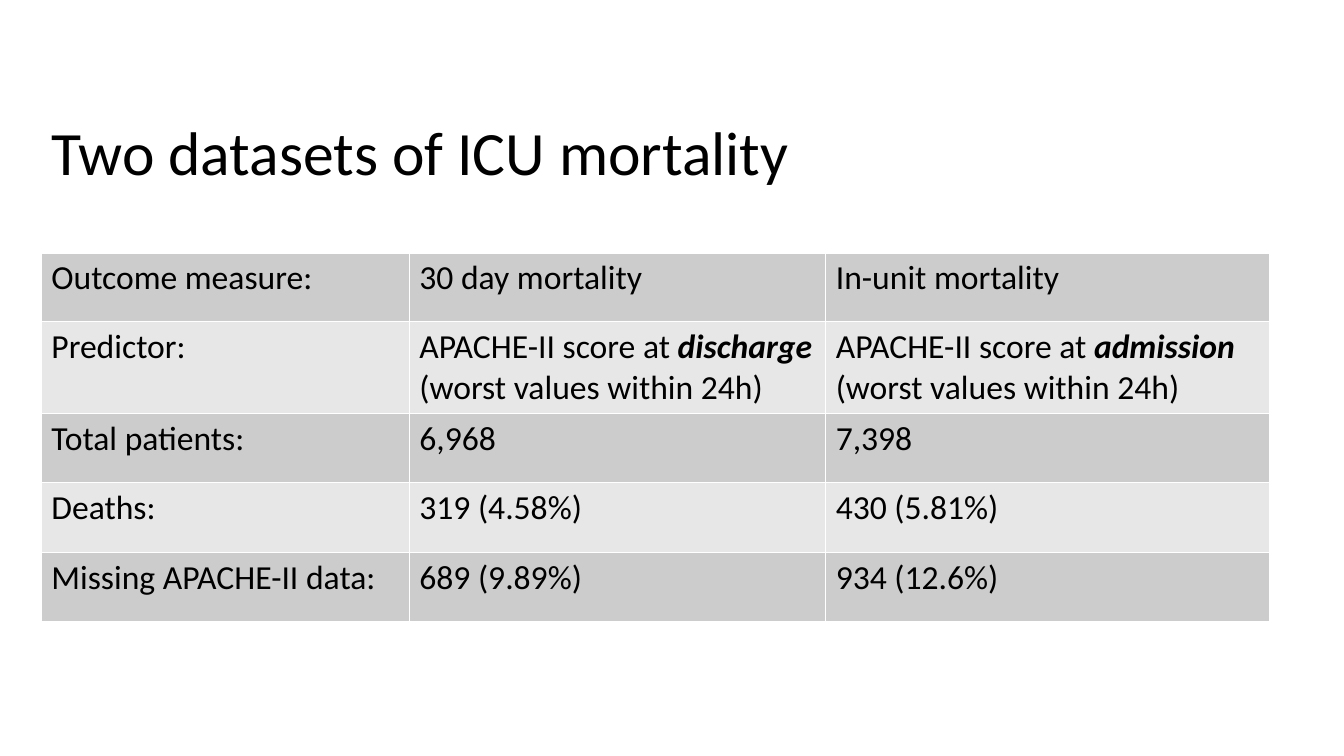
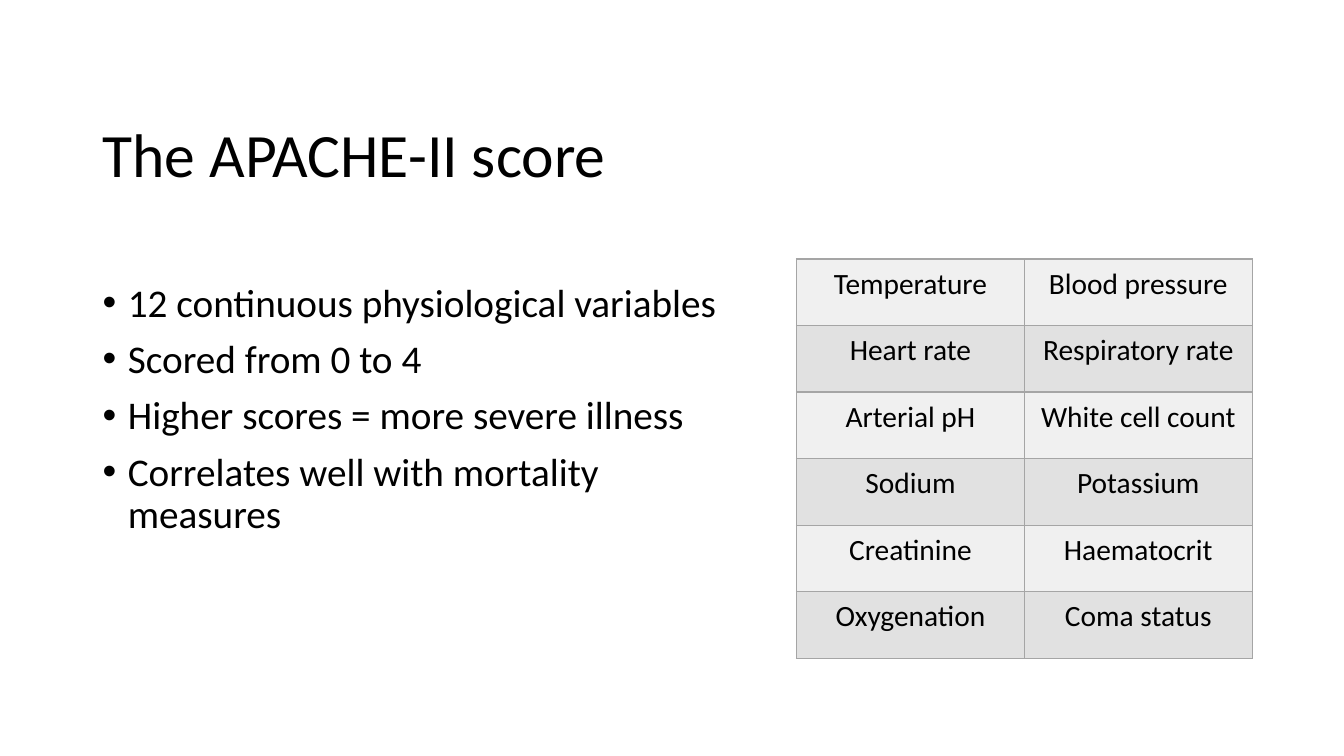
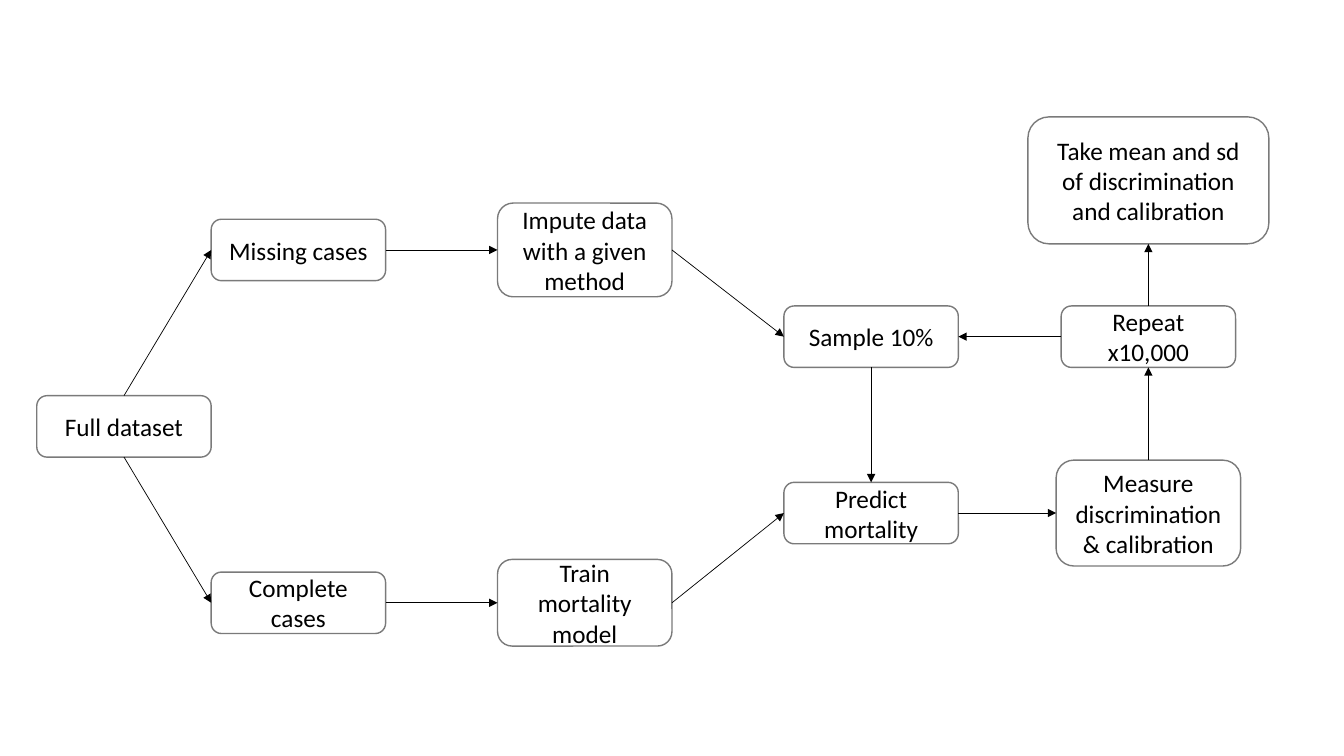
from lxml.etree import SubElement
from pptx import Presentation
from pptx.dml.color import RGBColor
from pptx.enum.shapes import MSO_CONNECTOR, MSO_SHAPE
from pptx.enum.text import MSO_ANCHOR, PP_ALIGN
from pptx.oxml import parse_xml
from pptx.oxml.ns import nsdecls, qn
from pptx.util import Inches, Pt

TOP, LEFT, BOTTOM, RIGHT = range(4)


def color(code):
    return RGBColor.from_string(code)


def apply(target, style):
    for name, value in style.items():
        setattr(target, name, value)


class Deck:
    INK = "000000"
    PAPER = "FFFFFF"
    EDGE = "7A7A7A"
    FONT = "Calibri"
    HEAD = {"line_spacing": 0.9}
    LIST = {"line_spacing": 0.9, "space_before": Pt(10)}
    MID = {"alignment": PP_ALIGN.CENTER}

    def __init__(self):
        self.prs = Presentation()
        self.prs.slide_width = Inches(13.33)
        self.prs.slide_height = Inches(7.5)
        self.slide = None

    def page(self):
        self.slide = self.prs.slides.add_slide(self.prs.slide_layouts[6])

    def label(self, para, text, size, style):
        """Fill a paragraph; text between asterisks is bold italic."""
        apply(para, style)
        for i, part in enumerate(text.split("*")):
            run = para.add_run()
            run.text = part
            strong = i % 2 == 1
            apply(run.font, {"name": self.FONT, "size": Pt(size),
                             "bold": strong, "italic": strong})
            run.font.color.rgb = color(self.INK)

    def frame(self, left, top, width, height, anchor):
        box = self.slide.shapes.add_textbox(*map(Inches, (left, top, width, height)))
        apply(box.text_frame, {"word_wrap": True, "vertical_anchor": anchor})
        return box.text_frame

    def title(self, text, left, top, width):
        frame = self.frame(left, top, width, 1.45, MSO_ANCHOR.MIDDLE)
        self.label(frame.paragraphs[0], text, 44, self.HEAD)

    def bullets(self, items, left, top, width, height):
        frame = self.frame(left, top, width, height, MSO_ANCHOR.TOP)
        for i, item in enumerate(items):
            para = frame.add_paragraph() if i else frame.paragraphs[0]
            self.label(para, item, 28, self.LIST)
            props = para._p.get_or_add_pPr()
            props.set("marL", str(Inches(0.25)))
            props.set("indent", str(Inches(-0.25)))
            SubElement(props, qn("a:buFont")).set("typeface", "Arial")
            SubElement(props, qn("a:buChar")).set("char", "•")

    def border(self, cell, code):
        props = cell._tc.get_or_add_tcPr()
        for side in "LRTB":
            props.append(parse_xml(
                f'<a:ln{side} {nsdecls("a")} w="{Pt(1)}"><a:solidFill>'
                f'<a:srgbClr val="{code}"/></a:solidFill></a:ln{side}>'))

    def table(self, data, left, top, cols, rows, size, fills, edge, style, pad):
        """Draw a grid whose row fills alternate."""
        grid = self.slide.shapes.add_table(
            len(rows), len(cols), Inches(left), Inches(top),
            Inches(sum(cols)), Inches(sum(rows))).table
        apply(grid, {"first_row": False, "horz_banding": False})
        for col, width in zip(grid.columns, cols):
            col.width = Inches(width)
        for r, (row, height) in enumerate(zip(grid.rows, rows)):
            row.height = Inches(height)
            for cell, text in zip(row.cells, data[r]):
                apply(cell, pad)
                self.border(cell, edge)
                cell.fill.solid()
                cell.fill.fore_color.rgb = color(fills[r % 2])
                self.label(cell.text_frame.paragraphs[0], text, size, style)

    def box(self, text, x, y, width=1.73, height=0.61):
        """Draw a rounded box centred on x, y."""
        shape = self.slide.shapes.add_shape(
            MSO_SHAPE.ROUNDED_RECTANGLE, Inches(x - width / 2),
            Inches(y - height / 2), Inches(width), Inches(height))
        shape.shadow.inherit = False
        shape.fill.solid()
        shape.fill.fore_color.rgb = color(self.PAPER)
        shape.line.color.rgb = color(self.EDGE)
        shape.line.width = Pt(1)
        frame = shape.text_frame
        apply(frame, {"word_wrap": True, "vertical_anchor": MSO_ANCHOR.MIDDLE})
        self.label(frame.paragraphs[0], text, 18, self.MID)
        return shape

    def arrow(self, start, out, end, into):
        line = self.slide.shapes.add_connector(MSO_CONNECTOR.STRAIGHT, 0, 0, 0, 0)
        line.begin_connect(start, out)
        line.end_connect(end, into)
        line.line.color.rgb = color(self.INK)
        line.line.width = Pt(0.5)
        props = line._element.spPr
        SubElement(props.get_or_add_ln(), qn("a:tailEnd")).set("type", "triangle")
        SubElement(props, qn("a:effectLst"))


def datasets(deck):
    deck.page()
    deck.title("Two datasets of ICU mortality", 0.41, 0.82, 12.67)
    data = [
        ("Outcome measure:", "30 day mortality", "In-unit mortality"),
        ("Predictor:", "APACHE-II score at *discharge* (worst values within 24h)",
         "APACHE-II score at *admission* (worst values within 24h)"),
        ("Total patients:", "6,968", "7,398"),
        ("Deaths:", "319 (4.58%)", "430 (5.81%)"),
        ("Missing APACHE-II data:", "689 (9.89%)", "934 (12.6%)"),
    ]
    deck.table(data, 0.41, 2.51, (3.65, 4.13, 4.4), (0.68, 0.91, 0.69, 0.69, 0.69),
               24, ("CCCCCC", "E7E7E7"), deck.PAPER, {}, {})


def score(deck):
    deck.page()
    deck.title("The APACHE-II score", 0.92, 0.84, 11.5)
    deck.bullets(["12 continuous physiological variables", "Scored from 0 to 4",
                  "Higher scores = more severe illness",
                  "Correlates well with mortality measures"], 0.92, 2.76, 6.42, 4.02)
    data = [
        ("Temperature", "Blood pressure"),
        ("Heart rate", "Respiratory rate"),
        ("Arterial pH", "White cell count"),
        ("Sodium", "Potassium"),
        ("Creatinine", "Haematocrit"),
        ("Oxygenation", "Coma status"),
    ]
    pad = {"margin_left": Inches(0.13), "margin_right": Inches(0.13),
           "margin_top": Inches(0.07), "margin_bottom": Inches(0.07)}
    deck.table(data, 7.9, 2.57, [2.26] * 2, [0.66] * 6, 21,
               ("F0F0F0", "E1E1E1"), "A5A5A5", deck.MID, pad)


def method(deck):
    deck.page()
    # Column centres, then row centres
    first, second, third, fourth, fifth = 1.23, 2.96, 5.8, 8.64, 11.39
    upper, sample_y, middle, predict_y, lower = 2.48, 3.34, 4.23, 5.09, 5.98
    full = deck.box("Full dataset", first, middle)
    missing = deck.box("Missing cases", second, upper)
    complete = deck.box("Complete cases", second, lower)
    train = deck.box("Train mortality model", third, lower, height=0.86)
    impute = deck.box("Impute data with a given method", third, upper, height=0.93)
    sample = deck.box("Sample 10%", fourth, sample_y)
    predict = deck.box("Predict mortality", fourth, predict_y)
    measure = deck.box("Measure discrimination & calibration",
                       fifth, predict_y, 1.83, 1.05)
    repeat = deck.box("Repeat x10,000", fifth, sample_y)
    result = deck.box("Take mean and sd of discrimination and calibration",
                      fifth, 1.79, 2.39, 1.26)
    for link in (
        (full, TOP, missing, LEFT),
        (full, BOTTOM, complete, LEFT),
        (missing, RIGHT, impute, LEFT),
        (complete, RIGHT, train, LEFT),
        (impute, RIGHT, sample, LEFT),
        (sample, BOTTOM, predict, TOP),
        (predict, RIGHT, measure, LEFT),
        (measure, TOP, repeat, BOTTOM),
        (repeat, LEFT, sample, RIGHT),
        (repeat, TOP, result, BOTTOM),
        (train, RIGHT, predict, LEFT),
    ):
        deck.arrow(*link)


def main():
    deck = Deck()
    for build in (datasets, score, method):
        build(deck)
    deck.prs.save("out.pptx")


if __name__ == "__main__":
    main()
